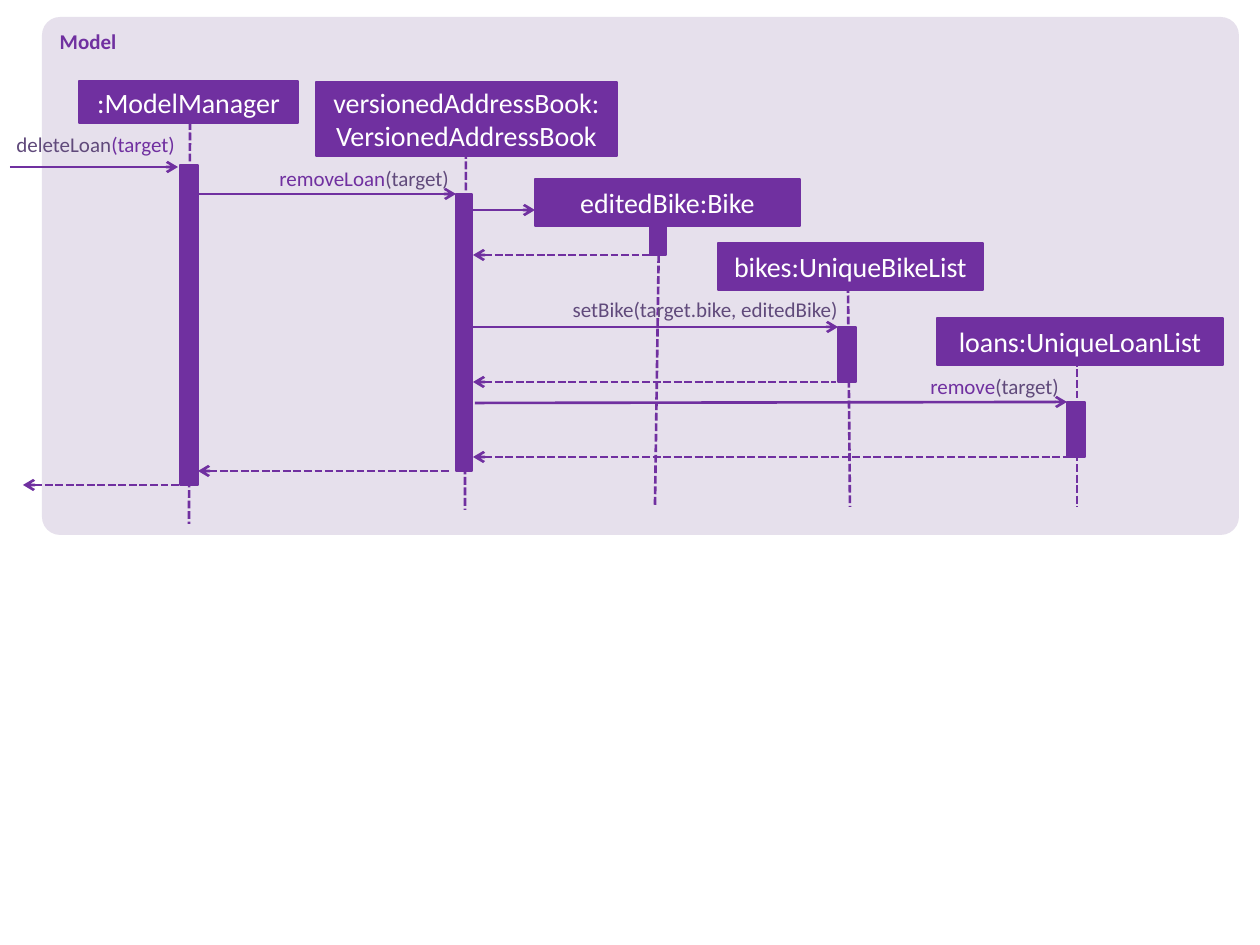
from typing import NamedTuple

from lxml import etree
from pptx import Presentation
from pptx import util as u
from pptx.dml.color import RGBColor
from pptx.enum import dml, shapes, text
from pptx.oxml.ns import qn

HUE = {"panel": "E6E0EC", "main": "7030A0", "soft": "604A7B", "white": "FFFFFF"}
FONT = "Calibri"


class Box(NamedTuple):
    x: int
    y: int
    w: int
    h: int
    name: str = ""


class Label(NamedTuple):
    x: int
    y: int
    w: int
    runs: list


class Line(NamedTuple):
    x1: int
    y1: int
    x2: int
    y2: int


def px(n: float) -> u.Emu:
    return u.Emu(round(n * 914400 / 126))


def rgb(key: str) -> RGBColor:
    return RGBColor.from_string(HUE[key])


prs = Presentation()
prs.slide_width, prs.slide_height = px(1260), px(945)
slide = prs.slides.add_slide(prs.slide_layouts[6])


def write(shape, runs: list, size: int = 12, bold: bool = False,
          align=text.PP_ALIGN.LEFT, anchor=text.MSO_ANCHOR.TOP,
          inset: bool = True) -> None:
    """Fill a shape with one paragraph of (words, colour) runs."""
    frame = shape.text_frame
    frame.word_wrap = True
    frame.vertical_anchor = anchor
    if not inset:
        frame.margin_left = frame.margin_right = 0
        frame.margin_top = frame.margin_bottom = 0
    para = frame.paragraphs[0]
    para.alignment = align
    for words, hue in runs:
        run = para.add_run()
        run.text = words
        run.font.name, run.font.size, run.font.bold = FONT, u.Pt(size), bold
        run.font.color.rgb = rgb(hue)


def block(box: Box, fill: str = "main", width: float = 0,
          kind=shapes.MSO_SHAPE.RECTANGLE):
    shape = slide.shapes.add_shape(kind, px(box.x), px(box.y), px(box.w), px(box.h))
    shape.shadow.inherit = False
    shape.fill.solid()
    shape.fill.fore_color.rgb = rgb(fill)
    if width:
        shape.line.color.rgb = rgb(fill)
        shape.line.width = u.Pt(width)
    else:
        shape.line.fill.background()
    return shape


def link(line: Line, dash: bool = False, end: str = "") -> None:
    """Draw a line; end is headEnd, tailEnd or empty."""
    conn = slide.shapes.add_connector(
        shapes.MSO_CONNECTOR.STRAIGHT, *(px(n) for n in line))
    conn.line.color.rgb = rgb("main")
    conn.line.width = u.Pt(1.5)
    if dash:
        conn.line.dash_style = dml.MSO_LINE.SQUARE_DOT
    if end:
        etree.SubElement(conn.line._get_or_add_ln(), qn("a:" + end), type="arrow")
    etree.SubElement(conn._element.spPr, qn("a:effectLst"))


LIVES = [
    Line(190, 122, 189, 524),
    Line(466, 151, 465, 510),
    Line(659, 234, 655, 507),
    Line(848, 285, 850, 507),
    Line(1077, 359, 1077, 507),
]
HEADS = [
    Box(79, 81, 219, 42, ":ModelManager"),
    Box(316, 82, 301, 74, "versionedAddressBook:VersionedAddressBook"),
    Box(535, 179, 265, 47, "editedBike:Bike"),
    Box(718, 243, 265, 47, "bikes:UniqueBikeList"),
    Box(937, 318, 286, 47, "loans:UniqueLoanList"),
]
BARS = [
    Box(180, 165, 18, 320),
    Box(456, 194, 16, 277),
    Box(650, 221, 16, 34),
    Box(838, 327, 18, 55),
    Box(1067, 402, 18, 55),
]
CALLS = [
    Line(10, 167, 178, 167),
    Line(199, 194, 456, 194),
    Line(473, 210, 535, 210),
    Line(473, 327, 838, 327),
    Line(475, 403, 1067, 402),
]
BACKS = [
    Line(473, 255, 650, 255),
    Line(473, 382, 836, 382),
    Line(473, 457, 1067, 457),
    Line(198, 471, 450, 471),
    Line(23, 485, 190, 485),
]
LABELS = [
    Label(-4, 132, 179, [("deleteLoan", "soft"), ("(target)", "main")]),
    Label(273, 166, 176, [("removeLoan", "main"), ("(target)", "soft")]),
    Label(543, 297, 295, [("setBike(target.bike, editedBike)", "soft")]),
    Label(883, 374, 176, [("remove", "main"), ("(target)", "soft")]),
]

# Panel
panel = block(Box(42, 17, 1197, 518), "panel",
              kind=shapes.MSO_SHAPE.ROUNDED_RECTANGLE)
panel.adjustments[0] = 0.035
write(panel, [("Model", "main")], bold=True)

# Lifelines, then the objects and their active bars
for life in LIVES:
    link(life, dash=True)
for head in HEADS:
    write(block(head, width=1.5), [(head.name, "white")], size=16,
          align=text.PP_ALIGN.CENTER, anchor=text.MSO_ANCHOR.MIDDLE)
for bar in BARS:
    block(bar, width=0.75)

# Calls and returns
for call in CALLS:
    link(call, end="tailEnd")
for back in BACKS:
    link(back, dash=True, end="headEnd")

# Message labels
for label in LABELS:
    area = slide.shapes.add_textbox(px(label.x), px(label.y), px(label.w), px(25))
    write(area, label.runs, align=text.PP_ALIGN.RIGHT, inset=False)

prs.save("out.pptx")
